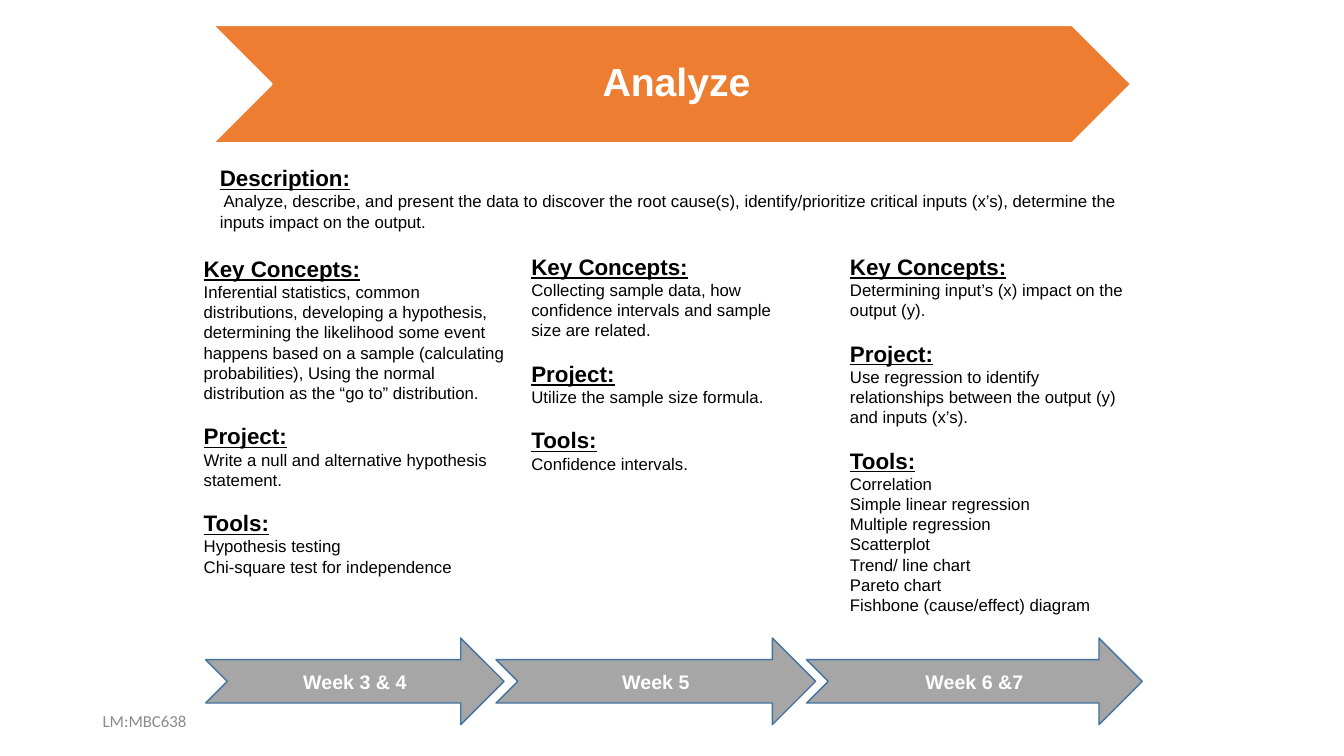
from lxml import etree
from pptx import Presentation
from pptx.dml.color import RGBColor
from pptx.enum import shapes, text
from pptx.oxml.ns import qn
from pptx.util import Inches, Pt

PHASE = "Analyze"
COURSE = "LM:MBC638"
DESCRIPTION = [("Description:", [
    " Analyze, describe, and present the data to discover the root cause(s), "
    "identify/prioritize critical inputs (x’s), determine the inputs impact on the output."])]
HEADINGS = ("Key Concepts:", "Project:", "Tools:")
# Each stage: arrow label, (left, width) of its arrow, box of its column, lines under each heading
STAGES = [
    ("Week 3 & 4", (2.04, 2.96), (1.92, 2.48, 3.25, 3.74), (
        ["Inferential statistics, common distributions, developing a hypothesis, "
         "determining the likelihood some event happens based on a sample (calculating "
         "probabilities), Using the normal distribution as the “go to” distribution."],
        ["Write a null and alternative hypothesis statement."],
        ["Hypothesis testing", "Chi-square test for independence"])),
    ("Week 5", (4.92, 3.17), (5.17, 2.46, 2.9, 2.73), (
        ["Collecting sample data, how confidence intervals and sample size are related."],
        ["Utilize the sample size formula."],
        ["Confidence intervals."])),
    ("Week 6 &7", (8, 3.33), (8.33, 2.46, 2.92, 3.74), (
        ["Determining input’s (x) impact on the output (y)."],
        ["Use regression to identify relationships between the output (y) and inputs (x’s)."],
        ["Correlation", "Simple linear regression", "Multiple regression", "Scatterplot",
         "Trend/ line chart", "Pareto chart", "Fishbone (cause/effect) diagram"])),
]

BANNER_BOX = (2.11, 0.25, 9.11, 1.17)
TITLE_BOX = (2.7, 0.25, 7.94, 1.17)
DESCRIPTION_BOX = (2.08, 1.58, 9.17, 0.77)
COURSE_BOX = (0.92, 6.95, 3, 0.4)
ARROW_TOP, ARROW_HEIGHT = 6.33, 0.86
SECTION_GAP = Pt(14)

ORANGE = RGBColor(0xED, 0x7D, 0x31)
GREY = RGBColor(0xA6, 0xA6, 0xA6)
BLUE = RGBColor(0x43, 0x73, 0x9E)
WHITE = RGBColor(0xFF, 0xFF, 0xFF)
BLACK = RGBColor(0, 0, 0)
FOOTER_GREY = RGBColor(0x8C, 0x8C, 0x8C)


def place(shape, box):
    shape.left, shape.top, shape.width, shape.height = map(Inches, box)


def add_run(paragraph, words, size, color, bold=False, underline=False, font="Arial"):
    run = paragraph.add_run()
    run.text = words
    run.font.name, run.font.size = font, Pt(size)
    run.font.bold, run.font.underline = bold, underline
    run.font.color.rgb = color


def set_frame(frame, anchor):
    frame.word_wrap = True
    frame.auto_size = text.MSO_AUTO_SIZE.NONE
    frame.vertical_anchor = anchor


def add_outlined(slide, preset, box, fill, line, width):
    shape = slide.shapes.add_shape(preset, *map(Inches, box))
    shape.shadow.inherit = False
    shape.fill.solid()
    shape.fill.fore_color.rgb = fill
    shape.line.color.rgb = line
    shape.line.width = Pt(width)
    return shape


def fill_body(body, box, sections):
    """Write headed sections, unbulleted, into a body placeholder."""
    place(body, box)
    frame = body.text_frame
    set_frame(frame, text.MSO_ANCHOR.TOP)
    rows = [(words, i == 0, i == 0 and number > 0)
            for number, (heading, lines) in enumerate(sections)
            for i, words in enumerate([heading, *lines])]
    for row, (words, is_heading, gap_above) in enumerate(rows):
        paragraph = frame.add_paragraph() if row else frame.paragraphs[0]
        paragraph.space_before = SECTION_GAP if gap_above else Pt(0)
        properties = paragraph._p.get_or_add_pPr()
        properties.set("marL", "0")
        properties.set("indent", "0")
        etree.SubElement(properties, qn("a:buNone"))
        add_run(paragraph, words, 16 if is_heading else 12, BLACK, is_heading, is_heading)


def add_banner(slide):
    banner = add_outlined(slide, shapes.MSO_SHAPE.CHEVRON, BANNER_BOX, ORANGE, WHITE, 1.5)
    title = slide.shapes.title
    title._element.addprevious(banner._element)
    place(title, TITLE_BOX)
    frame = title.text_frame
    set_frame(frame, text.MSO_ANCHOR.MIDDLE)
    frame.margin_left = Inches(0.12)
    frame.margin_top = frame.margin_right = frame.margin_bottom = Inches(0.04)
    heading = frame.paragraphs[0]
    heading.alignment = text.PP_ALIGN.CENTER
    heading.line_spacing = 0.9
    add_run(heading, PHASE, 28, WHITE, bold=True)


def add_week_arrow(slide, label, left, width):
    arrow = add_outlined(slide, shapes.MSO_SHAPE.NOTCHED_RIGHT_ARROW,
                         (left, ARROW_TOP, width, ARROW_HEIGHT), GREY, BLUE, 1)
    set_frame(arrow.text_frame, text.MSO_ANCHOR.MIDDLE)
    paragraph = arrow.text_frame.paragraphs[0]
    paragraph.alignment = text.PP_ALIGN.CENTER
    add_run(paragraph, label, 14, WHITE, bold=True)


def add_course(slide):
    course = slide.shapes.add_textbox(*map(Inches, COURSE_BOX))
    set_frame(course.text_frame, text.MSO_ANCHOR.MIDDLE)
    add_run(course.text_frame.paragraphs[0], COURSE, 12, FOOTER_GREY, font="Calibri")


def main():
    deck = Presentation()
    deck.slide_width, deck.slide_height = Inches(13.33), Inches(7.5)
    comparison = deck.slide_layouts.get_by_name("Comparison")  # a title and four bodies
    slide = deck.slides.add_slide(comparison)
    description, *columns = [p for p in slide.placeholders if p.placeholder_format.idx > 0]

    add_banner(slide)
    fill_body(description, DESCRIPTION_BOX, DESCRIPTION)
    for column, (label, arrow_span, box, contents) in zip(columns, STAGES):
        fill_body(column, box, list(zip(HEADINGS, contents)))
        add_week_arrow(slide, label, *arrow_span)
    add_course(slide)
    deck.save("out.pptx")


if __name__ == "__main__":
    main()
